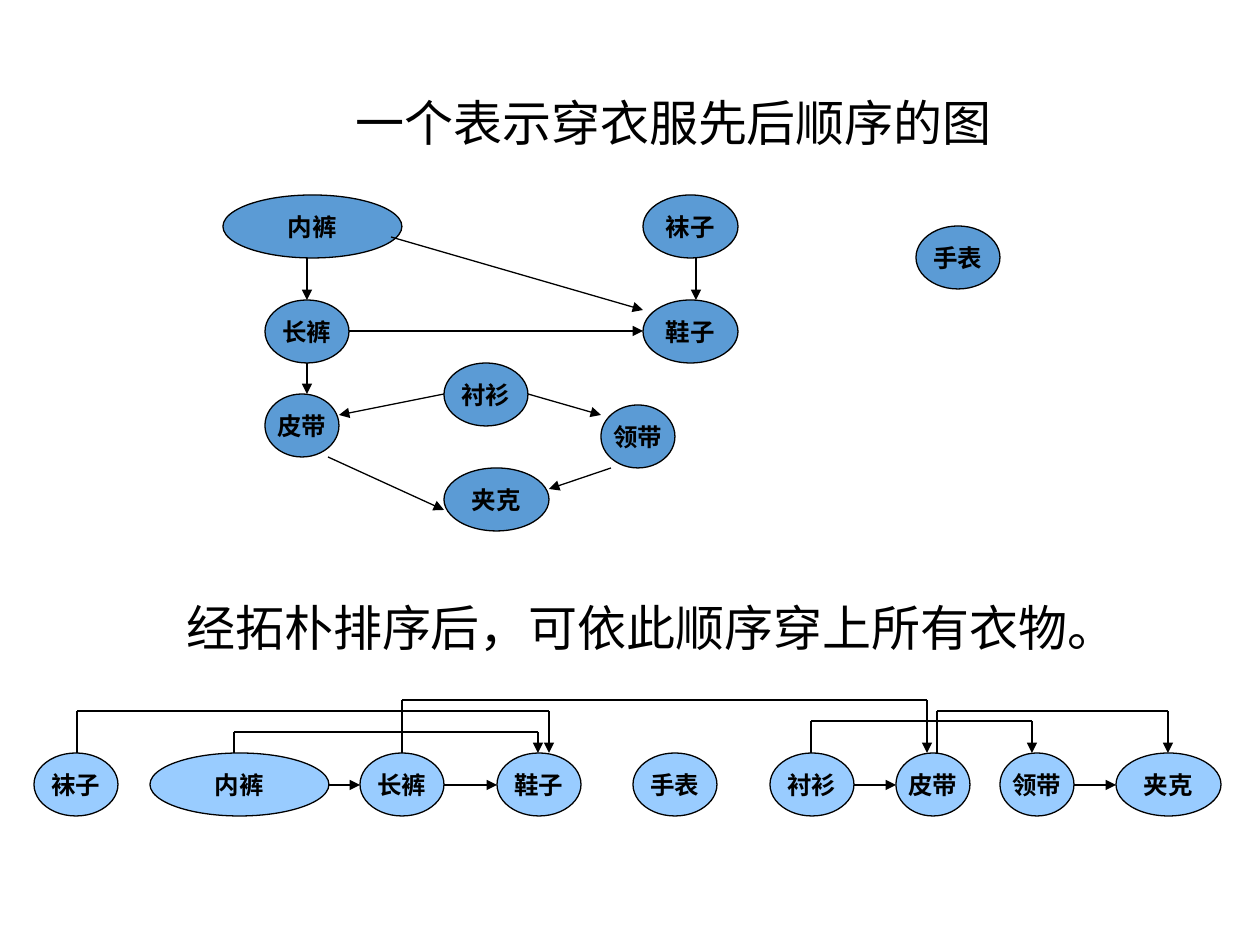
"""Draw the dressing-order graph and its topological ordering."""
from itertools import pairwise
from typing import NamedTuple

from lxml import etree
from pptx import Presentation
from pptx.dml.color import RGBColor
from pptx.enum.shapes import MSO_CONNECTOR, MSO_SHAPE
from pptx.enum.text import MSO_ANCHOR, MSO_AUTO_SIZE, PP_ALIGN
from pptx.oxml.ns import qn
from pptx.util import Emu, Pt

ELLIPSE = MSO_SHAPE.OVAL
STRAIGHT = MSO_CONNECTOR.STRAIGHT
MIDDLE, TOP = MSO_ANCHOR.MIDDLE, MSO_ANCHOR.TOP
CENTER, LEFT = PP_ALIGN.CENTER, PP_ALIGN.LEFT
NO_AUTOFIT = MSO_AUTO_SIZE.NONE

PX_PER_INCH = 126
BLACK = "000000"
GRAPH_FILL = "5B9BD5"
ORDER_FILL = "99CCFF"
NODE_HEIGHT = 63
ORDER_TOP = 753
ORDER_MIDDLE = 785
LINE_WIDTH = Pt(0.75)


class Garment(NamedTuple):
    """An ellipse naming one piece of clothing."""
    name: str
    left: int
    top: int
    width: int


class Arrow(NamedTuple):
    """A straight arrow between two points."""
    x1: int
    y1: int
    x2: int
    y2: int


class Detour(NamedTuple):
    """An arrow that rises over the ordered row and comes down again."""
    start: int
    end: int
    height: int


GRAPH = [
    Garment("内裤", 223, 195, 179),
    Garment("袜子", 643, 195, 95),
    Garment("长裤", 265, 300, 84),
    Garment("鞋子", 643, 300, 95),
    Garment("皮带", 265, 394, 74),
    Garment("衬衫", 444, 363, 84),
    Garment("领带", 601, 405, 74),
    Garment("夹克", 444, 468, 105),
    Garment("手表", 916, 226, 84),
]
GRAPH_ARROWS = [
    Arrow(307, 258, 307, 300),
    Arrow(307, 363, 307, 394),
    Arrow(349, 331, 643, 331),
    Arrow(444, 394, 339, 415),
    Arrow(528, 394, 601, 415),
    Arrow(611, 468, 549, 489),
    Arrow(391, 237, 643, 310),
    Arrow(696, 258, 696, 300),
    Arrow(328, 457, 444, 510),
]
ORDER = [
    Garment(name, left, ORDER_TOP, width)
    for name, left, width in [
        ("袜子", 34, 84), ("内裤", 150, 179), ("长裤", 360, 84),
        ("鞋子", 497, 84), ("手表", 633, 84), ("衬衫", 770, 84),
        ("皮带", 896, 74), ("领带", 1000, 74), ("夹克", 1116, 105),
    ]
]
ADJACENT = {("内裤", "长裤"), ("长裤", "鞋子"), ("衬衫", "皮带"), ("领带", "夹克")}
DETOURS = [
    Detour(234, 538, 21),
    Detour(77, 549, 42),
    Detour(402, 927, 53),
    Detour(937, 1168, 42),
    Detour(811, 1032, 32),
]


def px(length: int) -> Emu:
    """Turn pixels into EMU."""
    return Emu(round(length * 914400 / PX_PER_INCH))


def color(value: str) -> RGBColor:
    """Turn a hex string into a colour."""
    return RGBColor.from_string(value)


def write(shape, text: str, font: str, size: int, bold: bool, align, anchor) -> None:
    """Put one formatted line of text in a shape."""
    frame = shape.text_frame
    frame.text = text
    frame.auto_size = NO_AUTOFIT
    frame.vertical_anchor = anchor
    para = frame.paragraphs[0]
    para.alignment = align
    span = para.runs[0]
    span.font.name = font
    span.font.size = Pt(size)
    span.font.bold = bold
    span.font.color.rgb = color(BLACK)


def write_heading(box, text: str, left: int, top: int, width: int) -> None:
    """Place and fill a heading box."""
    box.left, box.top, box.width, box.height = map(px, (left, top, width, 72))
    write(box, text, "Arial", 28, False, LEFT, TOP)
    box.text_frame.word_wrap = True


def draw_garment(page, garment: Garment, fill: str) -> None:
    """Draw one labelled ellipse."""
    node = page.shapes.add_shape(
        ELLIPSE, px(garment.left), px(garment.top), px(garment.width), px(NODE_HEIGHT))
    node.shadow.inherit = False
    node.fill.solid()
    node.fill.fore_color.rgb = color(fill)
    node.line.color.rgb = color(BLACK)
    node.line.width = LINE_WIDTH
    write(node, garment.name, "Times New Roman", 14, True, CENTER, MIDDLE)
    node.text_frame.word_wrap = False


def draw_line(page, line: Arrow, head: bool = True) -> None:
    """Draw a straight line, with an arrowhead at its end if wanted."""
    connector = page.shapes.add_connector(STRAIGHT, *map(px, line))
    connector.line.color.rgb = color(BLACK)
    connector.line.width = LINE_WIDTH
    if head:
        outline = connector.line._get_or_add_ln()
        etree.SubElement(outline, qn("a:tailEnd"), type="triangle")
    etree.SubElement(connector._element.spPr, qn("a:effectLst"))


def draw_detour(page, detour: Detour) -> None:
    """Draw the three segments of a detour."""
    level = ORDER_TOP - detour.height
    corners = [(detour.start, ORDER_TOP), (detour.start, level),
               (detour.end, level), (detour.end, ORDER_TOP)]
    for begin, end in pairwise(corners):
        draw_line(page, Arrow(*begin, *end), head=end == corners[-1])


def main() -> None:
    """Build and save the deck."""
    deck = Presentation()
    deck.slide_width, deck.slide_height = px(1260), px(945)
    page = deck.slides.add_slide(deck.slide_layouts[5])
    write_heading(page.shapes.title, "一个表示穿衣服先后顺序的图", 343, 86, 684)
    for garment in ORDER:
        draw_garment(page, garment, ORDER_FILL)
    for before, after in pairwise(ORDER):
        if (before.name, after.name) in ADJACENT:
            draw_line(page, Arrow(before.left + before.width, ORDER_MIDDLE,
                                  after.left, ORDER_MIDDLE))
    for detour in DETOURS:
        draw_detour(page, detour)
    for garment in GRAPH:
        draw_garment(page, garment, GRAPH_FILL)
    for arrow in GRAPH_ARROWS:
        draw_line(page, arrow)
    caption = page.shapes.add_textbox(0, 0, 0, 0)
    write_heading(caption, "经拓朴排序后，可依此顺序穿上所有衣物。", 174, 591, 983)
    deck.save("out.pptx")


if __name__ == "__main__":
    main()
